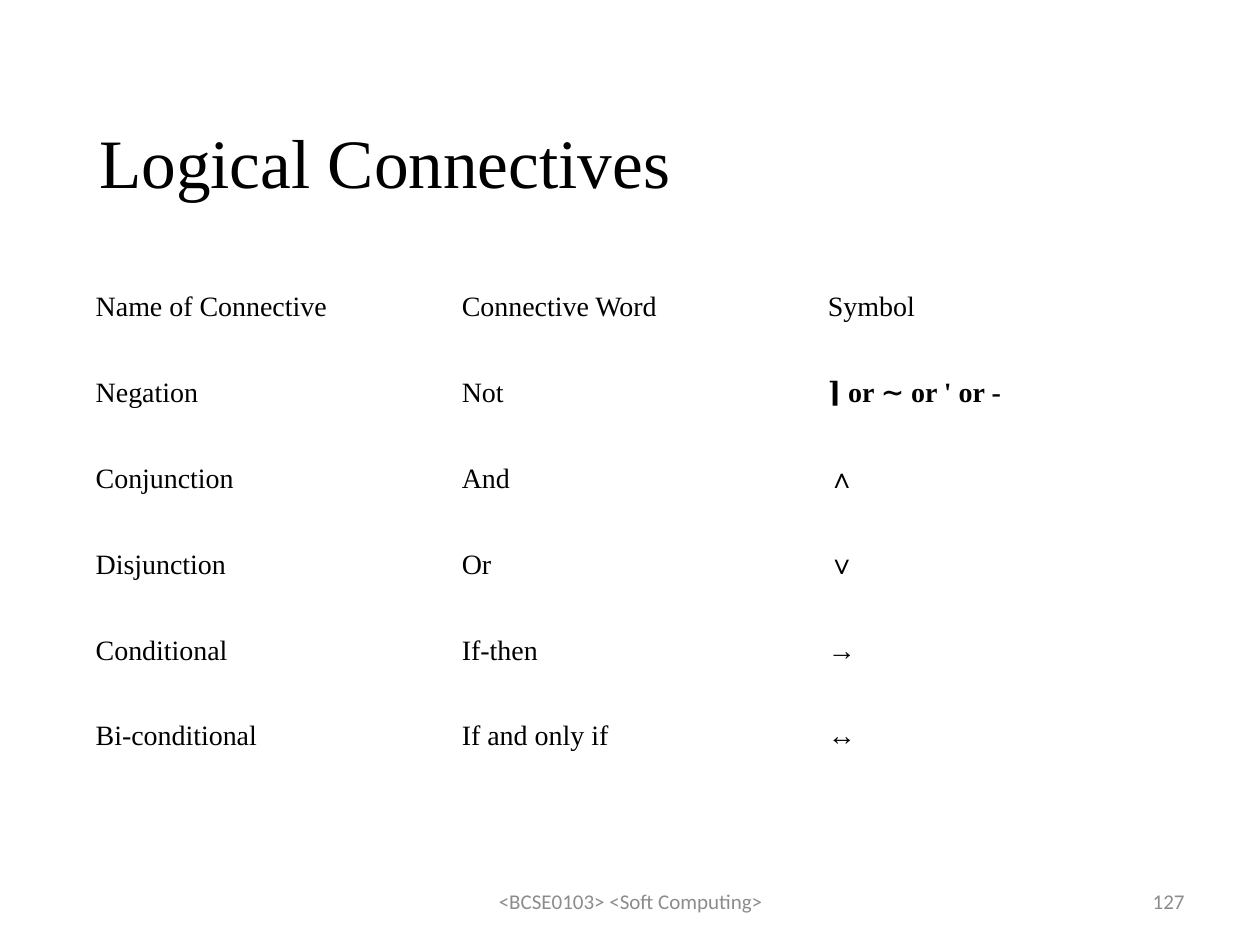
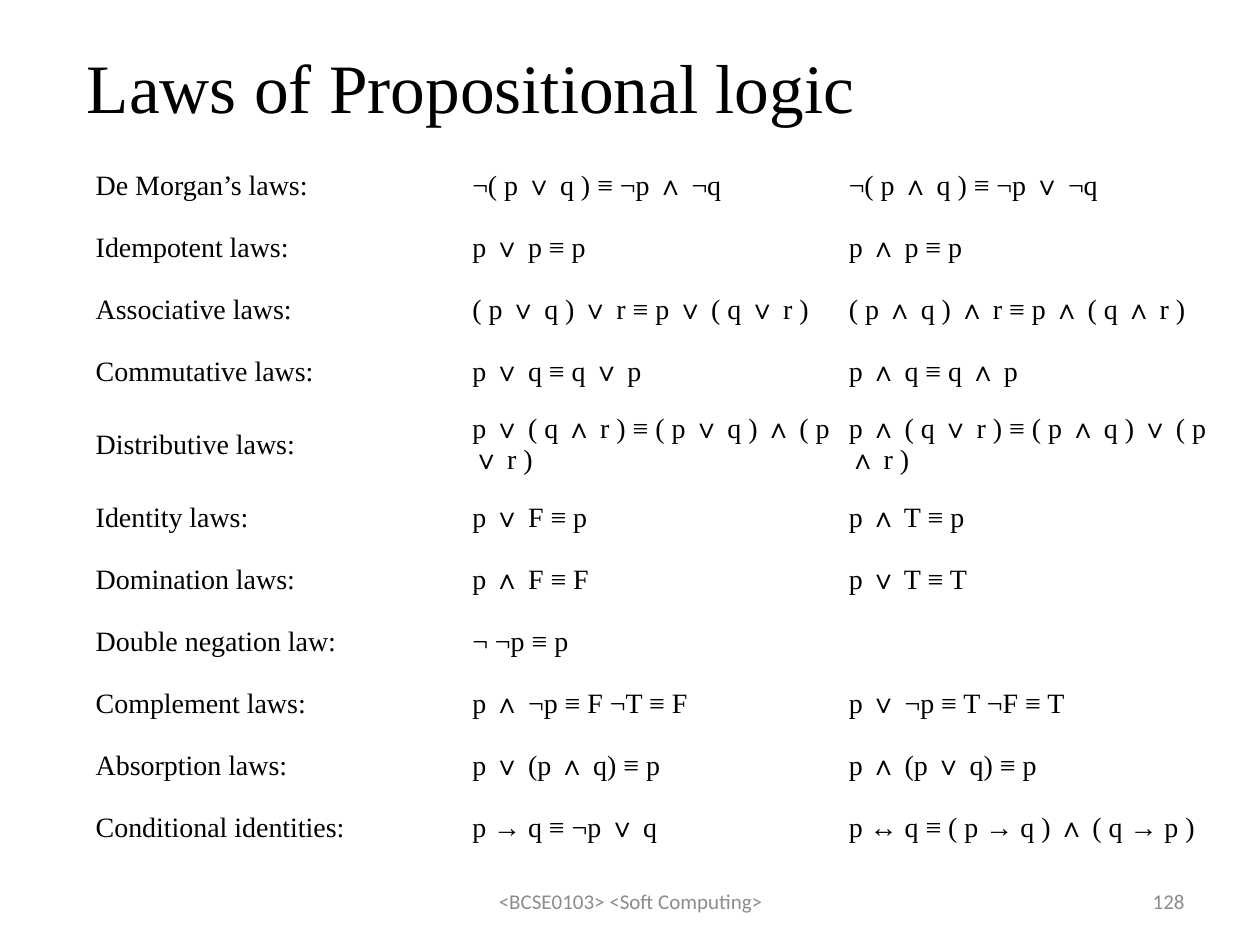
from pptx import Presentation
from pptx import util as u
from pptx.dml import color
from pptx.enum import text

SERIF, SANS = "Times New Roman", "Calibri"
BLACK, GREY = "000000", "8C8C8C"
FOOT = "<BCSE0103> <Soft Computing>"

SIGNS = [
    ("Name of Connective", "Connective Word", "Symbol"),
    ("Negation", "Not", "⌉ or ∼ or ' or -"),
    ("Conjunction", "And", "∧"),
    ("Disjunction", "Or", "∨"),
    ("Conditional", "If-then", "→"),
    ("Bi-conditional", "If and only if", "↔"),
]
LAWS = [
    ("De Morgan’s laws:", "¬( p ∨ q ) ≡ ¬p ∧ ¬q", "¬( p ∧ q ) ≡ ¬p ∨ ¬q"),
    ("Idempotent laws:", "p ∨ p ≡ p", "p ∧ p ≡ p"),
    ("Associative laws:", "( p ∨ q ) ∨ r ≡ p ∨ ( q ∨ r )",
     "( p ∧ q ) ∧ r ≡ p ∧ ( q ∧ r )"),
    ("Commutative laws:", "p ∨ q ≡ q ∨ p", "p ∧ q ≡ q ∧ p"),
    ("Distributive laws:", "p ∨ ( q ∧ r ) ≡ ( p ∨ q ) ∧ ( p ∨ r )",
     "p ∧ ( q ∨ r ) ≡ ( p ∧ q ) ∨ ( p ∧ r )"),
    ("Identity laws:", "p ∨ F ≡ p", "p ∧ T ≡ p"),
    ("Domination laws:", "p ∧ F ≡ F", "p ∨ T ≡ T"),
    ("Double negation law:", "¬ ¬p ≡ p", ""),
    ("Complement laws:", "p ∧ ¬p ≡ F ¬T ≡ F", "p ∨ ¬p ≡ T ¬F ≡ T"),
    ("Absorption laws:", "p ∨ (p ∧ q) ≡ p", "p ∧ (p ∨ q) ≡ p"),
    ("Conditional identities:", "p → q ≡ ¬p ∨ q", "p ↔ q ≡ ( p → q ) ∧ ( q → p )"),
]
PAGES = [
    {"title": "Logical Connectives", "at": (1.75, 2.39, 21.89, 1.7), "rows": SIGNS,
     "top": 5.33, "wide": 7.38, "high": [1.73] * 6, "bold": True, "num": "127"},
    {"title": "Laws of Propositional logic", "at": (1.5, 1.12, 21.89, 1.22), "rows": LAWS,
     "top": 3.12, "wide": 7.59, "high": [1.25] * 4 + [1.7] + [1.25] * 6,
     "bold": False, "num": "128"},
]


def paint(font, tone):
    font.color.rgb = color.RGBColor.from_string(tone)


def write(para, words, size, face=SERIF, tone=BLACK, bold=False):
    run = para.add_run()
    run.text = words
    run.font.size, run.font.name, run.font.bold = u.Pt(size), face, bold
    paint(run.font, tone)


def label(slide, at, words, size, face=SERIF, tone=BLACK, side=text.PP_ALIGN.LEFT):
    frame = slide.shapes.add_textbox(*map(u.Cm, at)).text_frame
    frame.word_wrap = True
    frame.vertical_anchor = text.MSO_ANCHOR.MIDDLE
    frame.paragraphs[0].alignment = side
    write(frame.paragraphs[0], words, size, face, tone)


def grid(slide, page):
    rows, high = page["rows"], page["high"]
    count = len(rows[0])
    table = slide.shapes.add_table(
        len(rows), count, u.Cm(1.75), u.Cm(page["top"]),
        u.Cm(page["wide"] * count), u.Cm(sum(high))).table
    table.first_row = table.horz_banding = False
    for col in table.columns:
        col.width = u.Cm(page["wide"])
    for i, row in enumerate(rows):
        table.rows[i].height = u.Cm(high[i])
        for j, words in enumerate(row):
            cell = table.cell(i, j)
            cell.fill.background()
            cell.vertical_anchor = text.MSO_ANCHOR.MIDDLE
            cell.margin_left = cell.margin_right = u.Cm(0.18)
            cell.margin_top = cell.margin_bottom = u.Cm(0.1)
            if words:
                bold = page["bold"] and i > 0 and j == count - 1
                write(cell.text_frame.paragraphs[0], words, 16, bold=bold)


def main():
    deck = Presentation()
    deck.slide_width, deck.slide_height = u.Cm(25.4), u.Cm(19.05)
    for page in PAGES:
        slide = deck.slides.add_slide(deck.slide_layouts[6])
        label(slide, page["at"], page["title"], 39.6)
        grid(slide, page)
        label(slide, (8.69, 17.65, 8.05, 1.02), FOOT, 12, SANS, GREY, text.PP_ALIGN.CENTER)
        label(slide, (18.21, 17.65, 5.92, 1.02), page["num"], 12, SANS, GREY,
              text.PP_ALIGN.RIGHT)
    deck.save("out.pptx")


if __name__ == "__main__":
    main()
